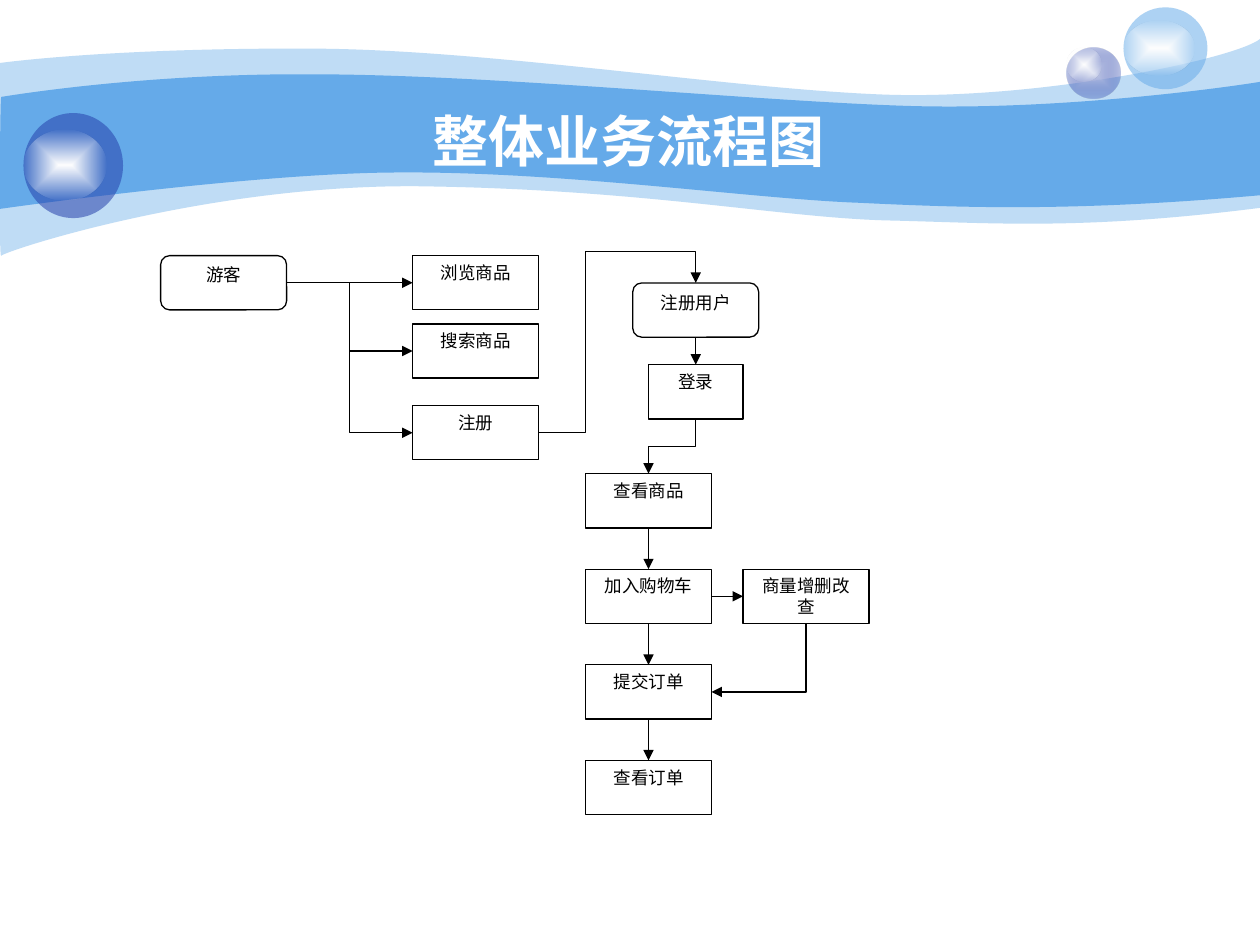
import pptx
import pptx.util
import pptx.dml.color
import pptx.enum.shapes
import pptx.enum.text
import pptx.oxml
import pptx.oxml.ns

Pt = pptx.util.Pt
qn = pptx.oxml.ns.qn
Kind = pptx.enum.shapes.MSO_SHAPE
Link = pptx.enum.shapes.MSO_CONNECTOR
Align = pptx.enum.text.PP_ALIGN
Anchor = pptx.enum.text.MSO_ANCHOR
SPACE = 'xmlns:a="http://schemas.openxmlformats.org/drawingml/2006/main"'
TOP, LEFT, BOTTOM, RIGHT = range(4)

OUTER = (0, 36), [
    (17, 33.8, 77.8, 27.4, 177.8, 27.8), (277.9, 28.1, 414, 50.4, 503.3, 54),
    (591.8, 57.6, 705.6, 33.8, 720, 22.3), (720, 118.8),
    (617.8, 131.8, 567.4, 127.4, 507.6, 126), (447.8, 124.6, 370.8, 108.7, 247, 106.6),
    (123.8, 103.7, 2.9, 143.3, 0.7, 146.2), (-0.7, 149.8, 0, 54, 0, 36)]
INNER = (0.7, 55.4), [
    (1.4, 55.4, 79.2, 41.8, 178.6, 42.5), (278.6, 42.5, 429.1, 57.6, 517, 60.5),
    (605.5, 63.4, 702.7, 49.7, 720, 46.8), (720, 111.6),
    (614.2, 121, 550.8, 118.8, 491, 115.9), (431.3, 113.8, 321.8, 97.9, 228.2, 98.6),
    (146.2, 98.6, -1.4, 119.5, -0.7, 119.5), (0, 119.5, 0, 55.4, 0.7, 55.4)]


def tint(form, code, alpha=100):
    form.solid()
    form.fore_color.rgb = pptx.dml.color.RGBColor.from_string(code)
    if alpha < 100:
        mark = pptx.oxml.parse_xml(f'<a:alpha {SPACE} val="{alpha * 1000}"/>')
        form._xPr.find(qn("a:solidFill"))[0].append(mark)


def glow(shape, core, edge, alpha):
    shape.fill.background()
    props = shape._element.spPr
    grad = pptx.oxml.parse_xml(
        f'<a:gradFill {SPACE} rotWithShape="1"><a:gsLst>'
        f'<a:gs pos="0"><a:srgbClr val="{core}"/></a:gs>'
        f'<a:gs pos="100000"><a:srgbClr val="{edge}"><a:alpha val="{alpha * 1000}"/></a:srgbClr></a:gs>'
        '</a:gsLst><a:path path="rect">'
        '<a:fillToRect l="50000" t="50000" r="50000" b="50000"/></a:path></a:gradFill>')
    props.replace(props.find(qn("a:noFill")), grad)


def write(shape, text, size, face, code, bold=False):
    para = shape.text_frame.paragraphs[0]
    para.alignment = Align.CENTER
    run = para.add_run()
    run.text = text
    run.font.size = Pt(size)
    run.font.name = face
    run.font.bold = bold
    tint(run.font.fill, code)


def wave(slide, left, top, curve, alpha=100):
    start, parts = curve
    dots = [(Pt(x), Pt(y)) for part in parts for x, y in zip(part[::2], part[1::2])]
    build = slide.shapes.build_freeform(Pt(start[0]), Pt(start[1]))
    build.add_line_segments(dots, close=True)
    shape = build.convert_to_shape(Pt(left), Pt(top))
    lines = iter(list(shape._element.spPr.iter(qn("a:lnTo"))))
    for part in parts:
        first = next(lines)
        if len(part) == 6:
            bend = pptx.oxml.parse_xml(f'<a:cubicBezTo {SPACE}/>')
            first.addprevious(bend)
            for line in (first, next(lines), next(lines)):
                bend.append(line[0])
                line.getparent().remove(line)
    shape.shadow.inherit = False
    shape.line.fill.background()
    tint(shape.fill, "65AAE9", alpha)


def disc(slide, left, top, width, height):
    shape = slide.shapes.add_shape(Kind.OVAL, Pt(left), Pt(top), Pt(width), Pt(height))
    shape.shadow.inherit = False
    shape.line.fill.background()
    return shape


def ball(slide, left, top, width, height, code, alpha, shine, core=None):
    shape = disc(slide, left, top, width, height)
    if core:
        glow(shape, core, code, alpha)
    else:
        tint(shape.fill, code, alpha)
    drop, wide, tall = shine
    glow(disc(slide, left, top + drop, wide, tall), "FFFFFF", "FFFFFF", 0)


def banner(slide, left, top):
    wave(slide, left, top, OUTER, 41)
    wave(slide, left, top, INNER)
    ball(slide, left + 609.5, top + 27.1, 30.5, 29.2, "233DA9", 31, (0, 20, 19.5), "C7CEE9")
    ball(slide, left + 642, top + 4.2, 48, 46.8, "65AAE9", 53, (7.8, 40.3, 31))
    ball(slide, left + 13.4, top + 64.6, 56.9, 60, "233DA9", 53, (9.5, 47.5, 40.3))


def title(slide, left, top, width, height):
    box = slide.shapes.add_textbox(Pt(left), Pt(top), Pt(width), Pt(height))
    frame = box.text_frame
    frame.word_wrap = True
    frame.margin_top = Pt(1.4)
    frame.vertical_anchor = Anchor.MIDDLE
    write(box, "整体业务流程图 ", 32, "Arial", "FFFFFF", True)


def node(slide, left, top, text, width=72, kind=Kind.RECTANGLE, face="Times New Roman"):
    shape = slide.shapes.add_shape(kind, Pt(left), Pt(top), Pt(width), Pt(31))
    shape.shadow.inherit = False
    tint(shape.fill, "FFFFFF")
    tint(shape.line.fill, "000000")
    shape.line.width = Pt(0.75)
    shape.text_frame.word_wrap = True
    shape.text_frame.vertical_anchor = Anchor.TOP
    write(shape, text, 10, face, "000000")
    return shape


def join(slide, first, out, last, into, bend=0, adjust=()):
    kind = Link.ELBOW if bend else Link.STRAIGHT
    line = slide.shapes.add_connector(kind, 0, 0, 0, 0)
    line.begin_connect(first, out)
    line.end_connect(last, into)
    tint(line.line.fill, "000000")
    line.line.width = Pt(0.75)
    props = line._element.spPr
    props.append(pptx.oxml.parse_xml(f'<a:effectLst {SPACE}/>'))
    line.line._get_or_add_ln().append(pptx.oxml.parse_xml(f'<a:tailEnd {SPACE} type="triangle"/>'))
    if bend:
        shape = props.find(qn("a:prstGeom"))
        shape.set("prst", f"bentConnector{bend}")
        for i, value in enumerate(adjust, 1):
            shape.find(qn("a:avLst")).append(pptx.oxml.parse_xml(
                f'<a:gd {SPACE} name="adj{i}" fmla="val {value}"/>'))
    if bend and out == BOTTOM:
        wide, tall = line.width, line.height
        line.left += (wide - tall) // 2
        line.top += (tall - wide) // 2
        line.width, line.height = tall, wide
        frame = props.find(qn("a:xfrm"))
        frame.attrib.pop("flipH", None)
        frame.set("rot", "5400000")


def flow(slide, left, top):
    soft = Kind.FLOWCHART_ALTERNATE_PROCESS
    mid, main = left + 144, left + 242.8
    search = node(slide, mid, top + 39, "搜索商品", face="Arial")
    guest = node(slide, left, top, "游客", kind=soft)
    member = node(slide, main + 27, top + 15.6, "注册用户", kind=soft)
    browse = node(slide, mid, top, "浏览商品")
    enrol = node(slide, mid, top + 85.7, "注册")
    login = node(slide, main + 36, top + 62.3, "登录", 54)
    names = ["查看商品", "加入购物车", "提交订单", "查看订单"]
    steps = [node(slide, main, top + 124.6 + 54.6 * i, name) for i, name in enumerate(names)]
    edit = node(slide, main + 90, top + 179.2, "商量增删改查")

    for goal in (browse, search, enrol):
        join(slide, guest, RIGHT, goal, LEFT, 3)
    join(slide, enrol, RIGHT, member, TOP, 4, (30000, 121000))
    join(slide, member, BOTTOM, login, TOP)
    join(slide, login, BOTTOM, steps[0], TOP, 3)
    for first, last in zip(steps, steps[1:]):
        join(slide, first, BOTTOM, last, TOP)
    join(slide, steps[1], RIGHT, edit, LEFT)
    join(slide, edit, BOTTOM, steps[2], RIGHT, 2)


def main():
    deck = pptx.Presentation()
    deck.slide_width, deck.slide_height = Pt(720), Pt(540)
    slide = deck.slides.add_slide(deck.slide_layouts[6])
    banner(slide, 0, 0)
    title(slide, 72, 67.7, 581.8, 26.6)
    flow(slide, 91.8, 146.1)
    deck.save("out.pptx")


if __name__ == "__main__":
    main()
